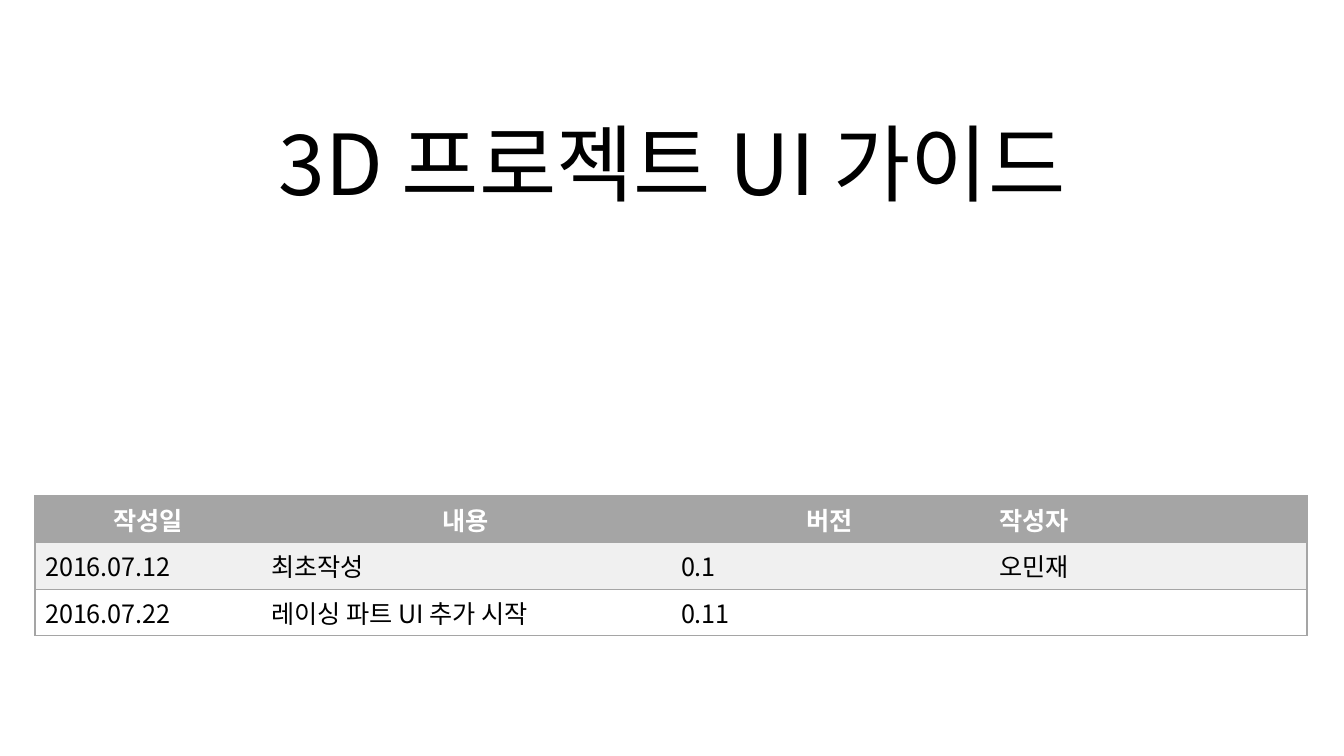
"""Build the title slide of a UI guide with its revision history table."""
from lxml.etree import SubElement
from pptx import Presentation
from pptx.dml.color import RGBColor
from pptx.enum.text import MSO_ANCHOR, MSO_AUTO_SIZE, PP_ALIGN
from pptx.oxml.ns import qn
from pptx.util import Pt

TITLE = "3D 프로젝트 UI 가이드"
HEADINGS = ("작성일", "내용", "버전", "작성자")
HEADING_ALIGNS = (PP_ALIGN.CENTER, PP_ALIGN.CENTER, PP_ALIGN.CENTER, PP_ALIGN.LEFT)
REVISIONS = [
    ("2016.07.12", "최초작성", "0.1", "오민재"),
    ("2016.07.22", "레이싱 파트 UI 추가 시작", "0.11", ""),
]
THEME = {
    "font": "Noto Sans CJK KR",
    "title": {"size": Pt(60), "bold": False, "color": "000000"},
    "heading": {"size": Pt(18), "bold": True, "color": "FFFFFF"},
    "body": {"size": Pt(18), "bold": False, "color": "000000"},
    "heading_fill": "A5A5A5",
    "body_fills": ("F0F0F0", "FFFFFF"),
    "border": "A5A5A5",
}
SLIDE_SIZE = (1344, 756)
TITLE_BOX = (168, 95, 1008, 124)
HISTORY_ORIGIN = (35, 496)
COLUMN_WIDTHS = (226, 410, 318, 318)
ROW_HEIGHT = 41


def px(length):
    """Turn px into EMU."""
    return round(length * 914400 / 100.8)


def write(frame, text, style, align):
    """Put one styled line of text in a frame."""
    paragraph = frame.paragraphs[0]
    paragraph.alignment = align
    if text:
        run = paragraph.add_run()
        run.text = text
        formats = {"name": THEME["font"], "size": style["size"], "bold": style["bold"]}
        for attribute, value in formats.items():
            setattr(run.font, attribute, value)
        run.font.color.rgb = RGBColor.from_string(style["color"])
        SubElement(run.font._element, qn("a:ea"), typeface=THEME["font"])
    return paragraph


def draw_borders(cell, edges):
    """Draw the named edges of a cell and clear the others."""
    properties = cell._tc.get_or_add_tcPr()
    for edge in ("lnL", "lnR", "lnT", "lnB"):
        line = SubElement(properties, qn(f"a:{edge}"), w=str(Pt(1)))
        if edge in edges:
            fill = SubElement(line, qn("a:solidFill"))
            SubElement(fill, qn("a:srgbClr"), val=THEME["border"])
        else:
            SubElement(line, qn("a:noFill"))


def add_title(slide):
    """Place and format the title."""
    title = slide.shapes.title
    for attribute, length in zip(("left", "top", "width", "height"), TITLE_BOX):
        setattr(title, attribute, px(length))
    frame = title.text_frame
    formats = {"word_wrap": True, "auto_size": MSO_AUTO_SIZE.NONE,
               "vertical_anchor": MSO_ANCHOR.BOTTOM}
    for attribute, value in formats.items():
        setattr(frame, attribute, value)
    write(frame, TITLE, THEME["title"], PP_ALIGN.CENTER).line_spacing = 0.9


def add_history(slide):
    """Add the revision history table."""
    rows = [HEADINGS, *REVISIONS]
    box = (*HISTORY_ORIGIN, sum(COLUMN_WIDTHS), ROW_HEIGHT * len(rows))
    history = slide.shapes.add_table(len(rows), len(HEADINGS), *map(px, box)).table
    for column, width in zip(history.columns, COLUMN_WIDTHS):
        column.width = px(width)
    fills = (THEME["heading_fill"], *THEME["body_fills"])
    last = len(HEADINGS) - 1
    for row_index, (entries, fill) in enumerate(zip(rows, fills)):
        history.rows[row_index].height = px(ROW_HEIGHT)
        is_heading = row_index == 0
        style = THEME["heading" if is_heading else "body"]
        for column_index, entry in enumerate(entries):
            cell = history.cell(row_index, column_index)
            align = HEADING_ALIGNS[column_index] if is_heading else PP_ALIGN.LEFT
            write(cell.text_frame, entry, style, align)
            sides = {0: ["lnL"], last: ["lnR"]}.get(column_index, [])
            draw_borders(cell, ["lnT", "lnB", *sides])
            cell.fill.solid()
            cell.fill.fore_color.rgb = RGBColor.from_string(fill)


def main():
    """Build and save the slide."""
    presentation = Presentation()
    presentation.slide_width, presentation.slide_height = map(px, SLIDE_SIZE)
    slide = presentation.slides.add_slide(presentation.slide_layouts[5])
    add_title(slide)
    add_history(slide)
    presentation.save("out.pptx")


if __name__ == "__main__":
    main()
